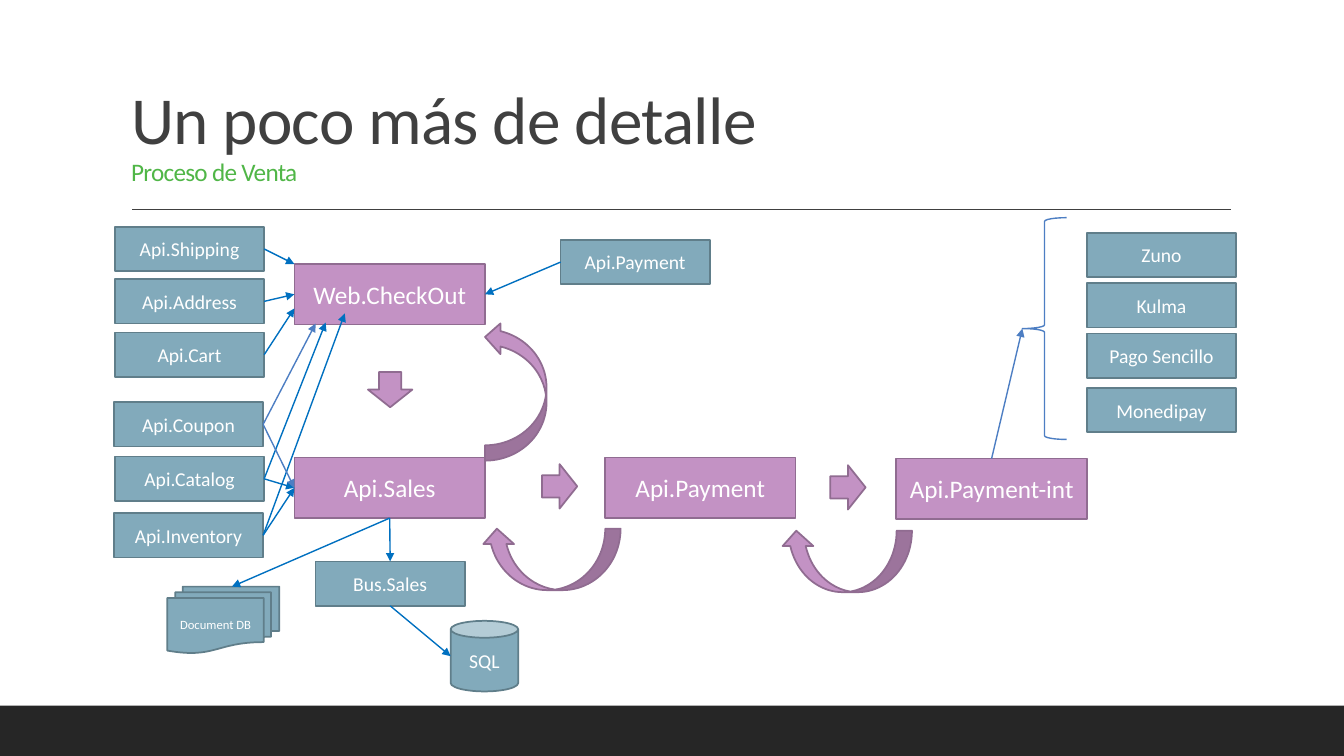
from lxml import etree
from pptx import Presentation
from pptx.dml.color import RGBColor
from pptx.enum.shapes import MSO_CONNECTOR, MSO_SHAPE
from pptx.enum.text import MSO_ANCHOR, MSO_AUTO_SIZE, PP_ALIGN
from pptx.oxml.ns import qn
from pptx.util import Inches, Pt

RECT, DOWN, CURVED = MSO_SHAPE.RECTANGLE, MSO_SHAPE.DOWN_ARROW, MSO_SHAPE.CURVED_LEFT_ARROW
CAN, DOCUMENTS, BRACE = MSO_SHAPE.CAN, MSO_SHAPE.FLOWCHART_MULTIDOCUMENT, MSO_SHAPE.LEFT_BRACE
STRAIGHT = MSO_CONNECTOR.STRAIGHT
TOP, LEFT, BOTTOM, RIGHT = range(4)  # connection sites of a rectangle

WHITE = RGBColor(0xFF, 0xFF, 0xFF)
DARK = RGBColor(0x40, 0x40, 0x40)
FOOTER = RGBColor(0x26, 0x26, 0x26)
GREEN = RGBColor(0x50, 0xB6, 0x47)
PURPLE, PURPLE_EDGE = RGBColor(0xC3, 0x92, 0xC4), RGBColor(0x90, 0x6C, 0x91)
TEAL, TEAL_EDGE = RGBColor(0x82, 0xAA, 0xBB), RGBColor(0x60, 0x7E, 0x8A)
BLUE, SOFT_BLUE = RGBColor(0x00, 0x70, 0xC0), RGBColor(0x4D, 0x7E, 0xC3)
FONT = "Calibri"

# Content
TITLE, SUBTITLE = "Un poco más de detalle", "Proceso de Venta"
STAGE_SIZE, SERVICE_SIZE = (1.89, 0.6), (1.48, 0.44)
STAGES = {  # key: label, left, top
    "checkout": ("Web.CheckOut", 2.92, 2.62),
    "sales": ("Api.Sales", 2.92, 4.54),
    "payment": ("Api.Payment", 6, 4.54),
    "integration": ("Api.Payment-int", 8.89, 4.55),
}
SERVICES = {
    "shipping": ("Api.Shipping", 1.14, 2.25),
    "address": ("Api.Address", 1.14, 2.77),
    "cart": ("Api.Cart", 1.14, 3.3),
    "coupon": ("Api.Coupon", 1.13, 3.99),
    "catalog": ("Api.Catalog", 1.14, 4.53),
    "inventory": ("Api.Inventory", 1.13, 5.09),
    "payment api": ("Api.Payment", 5.56, 2.38),
    "bus": ("Bus.Sales", 3.13, 5.57),
    "provider 1": ("Zuno", 10.78, 2.31),
    "provider 2": ("Kulma", 10.78, 2.81),
    "provider 3": ("Pago Sencillo", 10.78, 3.31),
    "provider 4": ("Monedipay", 10.78, 3.85),
}
STORES = [  # shape, label, size, box
    (DOCUMENTS, "Document DB", 9, (1.66, 5.82, 1.11, 0.66)),
    (CAN, "SQL", 14, (4.47, 6.16, 0.67, 0.7)),
]
FLOW_ARROWS = [  # shape, box, rotation, flipped
    (DOWN, (3.65, 3.69, 0.44, 0.35), 0, False),
    (DOWN, (5.33, 4.65, 0.44, 0.35), 270, False),
    (DOWN, (8.19, 4.66, 0.44, 0.35), 270, False),
    (CURVED, (8.09, 4.92, 0.61, 1.3), 90, False),
    (CURVED, (5.16, 4.86, 0.61, 1.38), 90, False),
    (CURVED, (4.81, 3.19, 0.61, 1.38), 180, True),
]
LINKS = [  # source, side, then a target with its side or a point
    ("shipping", RIGHT, (2.92, 2.62), BLUE),
    ("address", RIGHT, ("checkout", LEFT), BLUE),
    ("cart", RIGHT, (2.92, 3.06), BLUE),
    ("payment api", LEFT, ("checkout", RIGHT), BLUE),
    ("catalog", RIGHT, (3.23, 3.2), BLUE),
    ("inventory", RIGHT, (3.42, 3.11), BLUE),
    ("catalog", RIGHT, ("sales", LEFT), BLUE),
    ("inventory", RIGHT, ("sales", LEFT), BLUE),
    ("sales", BOTTOM, ("bus", TOP), BLUE),
    ("sales", BOTTOM, (2.3, 5.82), BLUE),
    ("bus", BOTTOM, (4.47, 6.51), BLUE),
    ("integration", TOP, (10.14, 3.26), SOFT_BLUE),
    ("coupon", RIGHT, (3.13, 3.21), SOFT_BLUE),
    ("coupon", RIGHT, ("sales", LEFT), SOFT_BLUE),
]

prs = Presentation()
prs.slide_width, prs.slide_height = Inches(13.33), Inches(7.5)
slide = prs.slides.add_slide(prs.slide_layouts[5])


def add_run(paragraph, text, size, color):
    run = paragraph.add_run()
    run.text = text
    run.font.name, run.font.size = FONT, Pt(size)
    run.font.color.rgb = color
    return run


def add_part(kind, box, fill, edge, label="", size=14):
    part = slide.shapes.add_shape(kind, *map(Inches, box))
    part.shadow.inherit = False
    if fill is None:
        part.fill.background()
    else:
        part.fill.solid()
        part.fill.fore_color.rgb = fill
    if edge is None:
        part.line.fill.background()
    else:
        part.line.color.rgb, part.line.width = edge, Pt(1.25)
    if label:
        part.text_frame.word_wrap = True
        part.text_frame.vertical_anchor = MSO_ANCHOR.MIDDLE
        paragraph = part.text_frame.paragraphs[0]
        paragraph.alignment = PP_ALIGN.CENTER
        add_run(paragraph, label, size, WHITE)
    return part


def add_line(start, end, color):
    line = slide.shapes.add_connector(STRAIGHT, *map(Inches, start + end))
    line.line.color.rgb, line.line.width = color, Pt(1)
    etree.SubElement(line.element.spPr, qn("a:effectLst"))
    return line


# Footer band, title and rule
add_part(RECT, (0, 7, 13.33, 0.5), FOOTER, None)
title = slide.shapes.title
title.left, title.top, title.width, title.height = map(Inches, (1.2, 0.31, 11, 1.59))
title.text_frame.auto_size = MSO_AUTO_SIZE.NONE
title.text_frame.word_wrap = True
title.text_frame.vertical_anchor = MSO_ANCHOR.BOTTOM
heading = title.text_frame.paragraphs[0]
heading.alignment, heading.line_spacing = PP_ALIGN.LEFT, 0.9
title_run = add_run(heading, TITLE, 48, DARK)
heading.add_line_break()
subtitle_run = add_run(heading, SUBTITLE, 18, GREEN)
for run in (title_run, subtitle_run):
    run.font._element.set("spc", "-50")
add_line((1.31, 2.08), (12.21, 2.08), DARK)

# Stages, services and stores
boxes = {}
for group, box_size, fill, edge, text_size in (
    (STAGES, STAGE_SIZE, PURPLE, PURPLE_EDGE, 18),
    (SERVICES, SERVICE_SIZE, TEAL, TEAL_EDGE, 14),
):
    for key, (label, left, top) in group.items():
        boxes[key] = add_part(RECT, (left, top) + box_size, fill, edge, label, text_size)
for kind, label, text_size, box in STORES:
    add_part(kind, box, TEAL, TEAL_EDGE, label, text_size)

# Flow arrows between stages
for kind, box, rotation, flipped in FLOW_ARROWS:
    arrow = add_part(kind, box, PURPLE, PURPLE_EDGE)
    arrow.rotation = rotation
    if flipped:
        arrow.element.spPr.find(qn("a:xfrm")).set("flipH", "1")

# Brace around the payment providers
brace = add_part(BRACE, (10.14, 2.16, 0.44, 2.2), None, SOFT_BLUE)
brace.line.width = Pt(1)

# Links between boxes
for source, side, target, color in LINKS:
    glued = target[0] in boxes
    link = add_line((0, 0), (0, 0) if glued else target, color)
    link.begin_connect(boxes[source], side)
    if glued:
        link.end_connect(boxes[target[0]], target[1])
    etree.SubElement(link.line._get_or_add_ln(), qn("a:tailEnd"), type="triangle")

prs.save("out.pptx")
